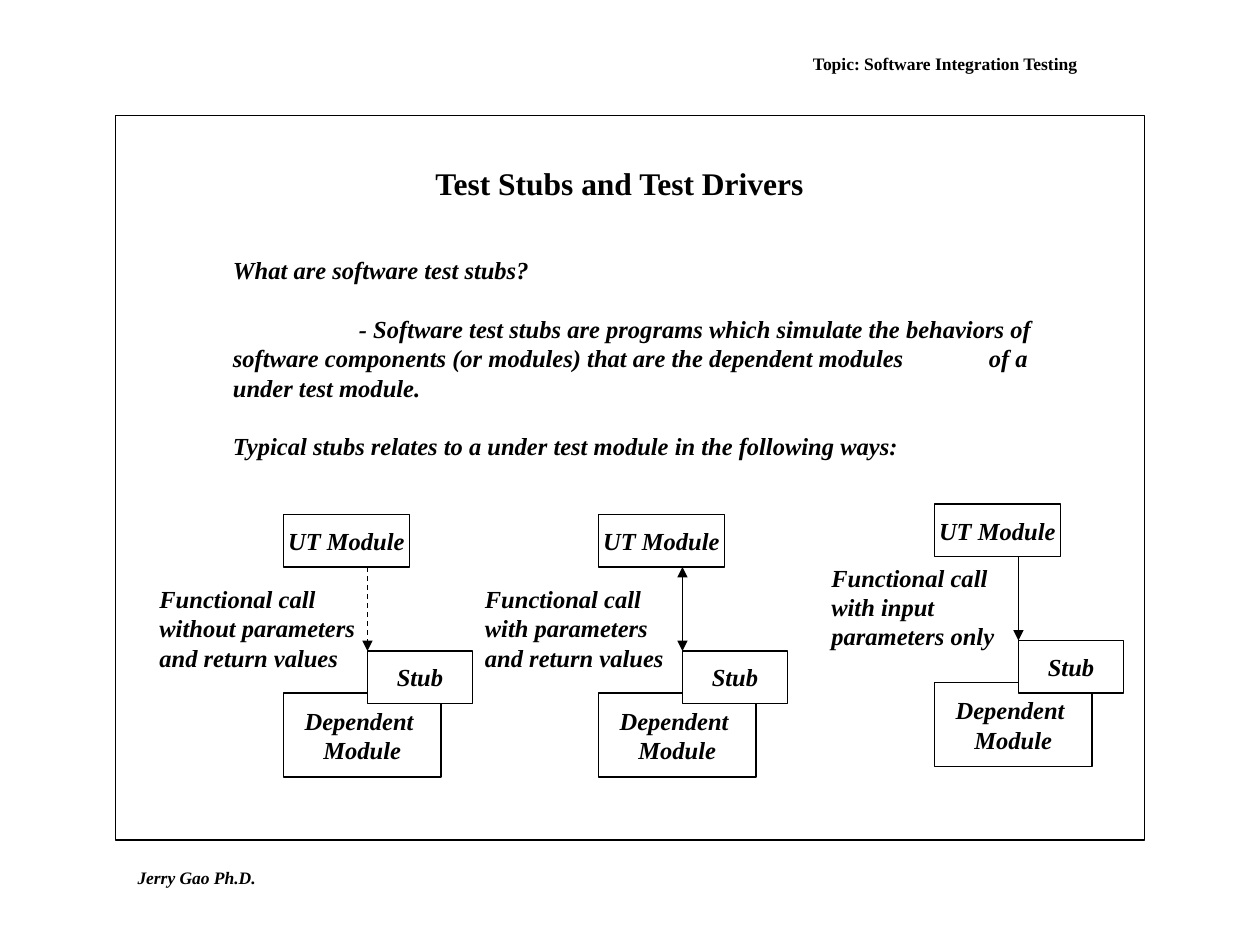
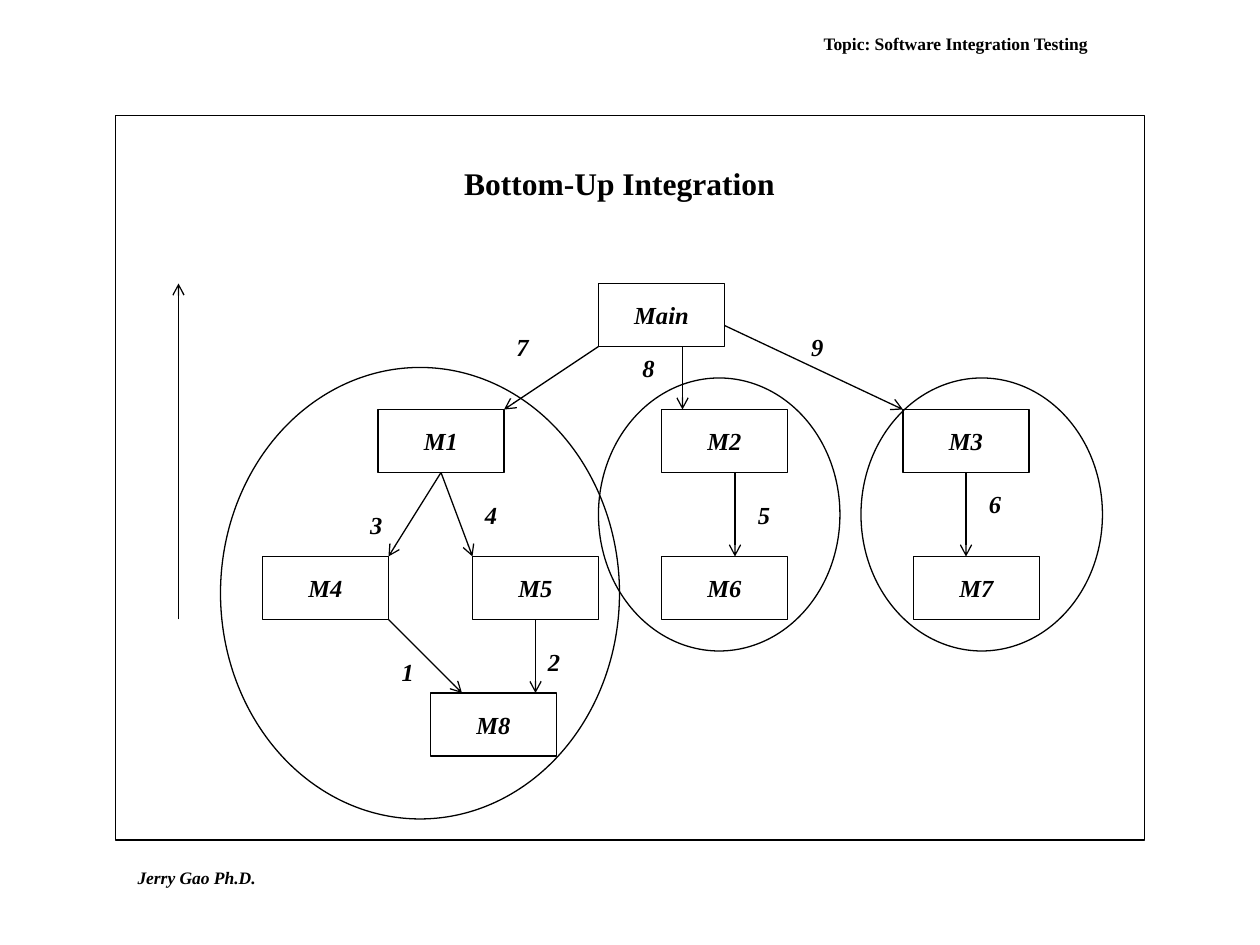
from lxml import etree
from pptx import Presentation
from pptx.dml.color import RGBColor
from pptx.enum.dml import MSO_LINE
from pptx.enum.shapes import MSO_CONNECTOR, MSO_SHAPE
from pptx.enum.text import MSO_ANCHOR, MSO_AUTO_SIZE, PP_ALIGN
from pptx.oxml.ns import qn
from pptx.util import Pt

RECT, OVAL = MSO_SHAPE.RECTANGLE, MSO_SHAPE.OVAL
STRAIGHT, DASH = MSO_CONNECTOR.STRAIGHT, MSO_LINE.DASH
LEFT, CENTER = PP_ALIGN.LEFT, PP_ALIGN.CENTER
TOP, MIDDLE = MSO_ANCHOR.TOP, MSO_ANCHOR.MIDDLE
FIT, FIXED = MSO_AUTO_SIZE.SHAPE_TO_FIT_TEXT, MSO_AUTO_SIZE.NONE
BOTTOM_SITE = 2

FONT = "Times New Roman"
BLACK, WHITE = "000000", "FFFFFF"
LINE_WIDTH = 0.75
BODY_SIZE = 14
LINE_HEIGHT = 16.8
NODE_W, NODE_H = 72, 36


def rgb(hex_color):
    return RGBColor.from_string(hex_color)


# Text
def add_tabs(p, count=7, step=72):
    tabs = etree.SubElement(p._p.get_or_add_pPr(), qn("a:tabLst"))
    for i in range(1, count + 1):
        etree.SubElement(tabs, qn("a:tab"), pos=str(Pt(step * i)), algn="l")


def put_text(sp, text, size=BODY_SIZE, italic=True, align=LEFT, anchor=TOP,
             wrap=False, fit=FIXED, gap=0, tabs=False, bottom=3.6):
    """Fill a shape with text, one paragraph for each line of the string."""
    tf = sp.text_frame
    tf.margin_left = tf.margin_right = Pt(7.2)
    tf.margin_top, tf.margin_bottom = Pt(3.6), Pt(bottom)
    tf.word_wrap, tf.auto_size, tf.vertical_anchor = wrap, fit, anchor
    for i, line in enumerate(text.split("\n")):
        p = tf.add_paragraph() if i else tf.paragraphs[0]
        if tabs:
            add_tabs(p)
        p.alignment = align
        if i and gap:
            p.space_before = Pt(gap)
        r = p.add_run()
        r.text = line
        r.font.name, r.font.size = FONT, Pt(size)
        r.font.bold, r.font.italic = True, italic
        r.font.color.rgb = rgb(BLACK)


def add_text(s, text, x, y, w, h, **fmt):
    put_text(s.shapes.add_textbox(Pt(x), Pt(y), Pt(w), Pt(h)), text, **fmt)


# Shapes and lines
def add_outline(s, kind, x, y, w, h, fill=None):
    sp = s.shapes.add_shape(kind, Pt(x), Pt(y), Pt(w), Pt(h))
    sp.shadow.inherit = False
    if fill:
        sp.fill.solid()
        sp.fill.fore_color.rgb = rgb(fill)
    else:
        sp.fill.background()
    sp.line.color.rgb = rgb(BLACK)
    sp.line.width = Pt(LINE_WIDTH)
    return sp


def add_box(s, text, x, y, w, h):
    sp = add_outline(s, RECT, x, y, w, h, WHITE)
    put_text(sp, text, align=CENTER, anchor=MIDDLE)
    return sp


def add_arrow(s, start, end, head="arrow", both=False, dash=False, source=None):
    """Draw an arrow; with a source, it leaves the middle of its lower side."""
    cn = s.shapes.add_connector(STRAIGHT, *(Pt(v) for v in start + end))
    if source:
        cn.begin_connect(source, BOTTOM_SITE)
    cn.line.color.rgb = rgb(BLACK)
    cn.line.width = Pt(LINE_WIDTH)
    if dash:
        cn.line.dash_style = DASH
    ln = cn.line._get_or_add_ln()
    if both:
        etree.SubElement(ln, qn("a:headEnd"), type=head)
    etree.SubElement(ln, qn("a:tailEnd"), type=head)
    etree.SubElement(cn._element.spPr, qn("a:effectLst"))


# Frame, title, topic and author on every slide
def add_slide(prs, title, topic_x, topic_y):
    s = prs.slides.add_slide(prs.slide_layouts[6])
    s.background.fill.solid()
    s.background.fill.fore_color.rgb = rgb(WHITE)
    add_text(s, "Jerry Gao Ph.D.", 71.5, 492, 82, 19, size=10, fit=FIT)
    add_text(s, title, 114, 90, 480, 29, size=18, italic=False, align=CENTER,
             wrap=True, fit=FIT)
    add_outline(s, RECT, 66, 66, 588, 414)
    add_text(s, "Topic: Software Integration Testing", topic_x, topic_y, 216, 18,
             size=10, italic=False, align=CENTER, anchor=MIDDLE, wrap=True)
    return s


# Module under test calling a stub that covers its dependent module
def add_stub_case(s, x, y, caption, caption_box, **arrow):
    add_box(s, "UT Module", x, y, 72, 30)
    add_box(s, "Dependent \nModule", x, y + 102, 90, 48)
    add_arrow(s, (x + 48, y + 30), (x + 48, y + 78), head="triangle", **arrow)
    add_box(s, "Stub", x + 48, y + 78, 60, 30)
    add_text(s, caption, *caption_box, 58, wrap=True, fit=FIT)


def build_stubs(prs):
    s = add_slide(prs, "Test Stubs and Test Drivers", 432, 27)
    add_text(s, "What are software test stubs?\n"
             "\t- Software test stubs are programs which simulate the behaviors of "
             "\tsoftware components (or modules) that are the dependent modules "
             "\tof a under test module.\n"
             "Typical stubs relates to a under test module in the following ways:",
             126, 138, 480, 150, anchor=MIDDLE, wrap=True, tabs=True,
             gap=LINE_HEIGHT, bottom=3.6 + LINE_HEIGHT)
    add_stub_case(s, 162, 294,
                  "Functional call\nwithout parameters\nand return values",
                  (84, 330, 132), dash=True)
    add_stub_case(s, 342, 294,
                  "Functional call\nwith parameters and return values",
                  (270, 330, 120), both=True)
    add_stub_case(s, 534, 288, "Functional call\nwith input\nparameters only",
                  (468, 318, 114))


def build_bottom_up(prs):
    s = add_slide(prs, "Bottom-Up Integration", 438, 16)

    # Modules
    places = {"Main": (342, 162), "M1": (216, 234), "M2": (378, 234),
              "M3": (516, 234), "M4": (150, 318), "M5": (270, 318),
              "M6": (378, 318), "M7": (522, 318), "M8": (246, 396)}
    nodes = {name: add_box(s, name, x, y, NODE_W, NODE_H)
             for name, (x, y) in places.items()}

    # Calls: start, end, module left from the middle of its lower side
    calls = [((390, 198), (390, 234), None), ((342, 198), (288, 234), None),
             ((414, 186), (516, 234), None), ((252, 270), (222, 318), "M1"),
             ((252, 270), (270, 318), "M1"), ((306, 354), (306, 396), "M5"),
             ((420, 270), (420, 318), None), ((552, 270), (552, 318), "M3"),
             ((222, 354), (264, 396), None)]
    for start, end, source in calls:
        add_arrow(s, start, end, source=nodes.get(source))

    # Direction of integration
    add_arrow(s, (102, 354), (102, 162))

    # Order of integration, 1 to 9
    steps = [(222.5, 372), (306, 366), (204.5, 288), (270, 282), (426, 282),
             (558, 276), (288, 186), (360, 198), (456.5, 186)]
    for number, (x, y) in enumerate(steps, 1):
        add_text(s, str(number), x, y, 21.6, 24.5, fit=FIT)

    # Clusters
    for cluster in [(126, 210, 228, 258), (342, 216, 138, 156),
                    (492, 216, 138, 156)]:
        add_outline(s, OVAL, *cluster)


def main():
    prs = Presentation()
    prs.slide_width, prs.slide_height = Pt(720), Pt(540)
    build_stubs(prs)
    build_bottom_up(prs)
    prs.save("out.pptx")


if __name__ == "__main__":
    main()
